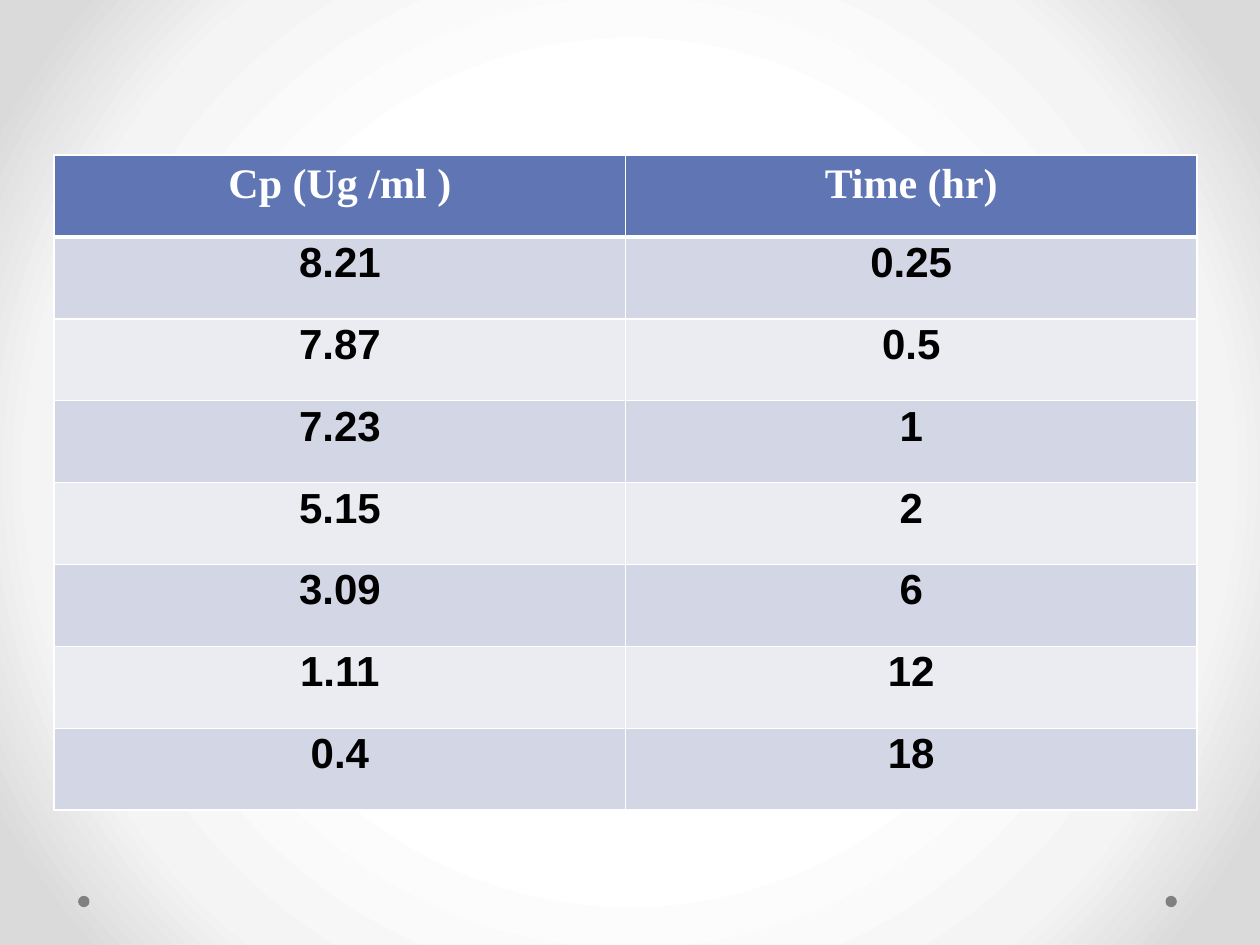
from lxml.etree import SubElement
from pptx import Presentation
from pptx.dml.color import RGBColor
from pptx.enum.shapes import MSO_SHAPE
from pptx.enum.text import PP_ALIGN
from pptx.oxml import parse_xml
from pptx.oxml.ns import nsdecls, qn
from pptx.util import Inches, Pt

# Content
ROWS = [
    ("Cp (Ug /ml )", "Time (hr)"),
    ("8.21", "0.25"),
    ("7.87", "0.5"),
    ("7.23", "1"),
    ("5.15", "2"),
    ("3.09", "6"),
    ("1.11", "12"),
    ("0.4", "18"),
]
STOPS = [(50, "FFFFFF"), (76, "F4F4F4"), (92, "DADADA")]
DOTS = [0.62, 9.25]

WHITE = RGBColor(0xFF, 0xFF, 0xFF)
BLACK = RGBColor(0, 0, 0)
GRAY = RGBColor(0x80, 0x80, 0x80)
BLUE = RGBColor(0x60, 0x76, 0xB4)
BANDS = [RGBColor(0xEA, 0xEC, 0xF2), RGBColor(0xD2, 0xD6, 0xE5)]


def set_back(slide):
    stops = "".join(
        f'<a:gs pos="{pos * 1000}"><a:srgbClr val="{tone}"/></a:gs>'
        for pos, tone in STOPS)
    back = parse_xml(
        f'<p:bg {nsdecls("p", "a")}><p:bgPr><a:gradFill rotWithShape="1">'
        f'<a:gsLst>{stops}</a:gsLst><a:path path="circle">'
        '<a:fillToRect l="50000" t="50000" r="50000" b="50000"/></a:path>'
        '</a:gradFill><a:effectLst/></p:bgPr></p:bg>')
    slide.element.cSld.insert(0, back)


def set_edges(cell, widths):
    props = cell._tc.get_or_add_tcPr()
    for i, (side, width) in enumerate(zip("LRTB", widths)):
        props.insert(i, parse_xml(
            f'<a:ln{side} {nsdecls("a")} w="{Pt(width)}"><a:solidFill>'
            f'<a:srgbClr val="{WHITE}"/></a:solidFill></a:ln{side}>'))


def fill_cell(cell, text, row):
    head = row == 0
    cell.fill.solid()
    cell.fill.fore_color.rgb = BLUE if head else BANDS[row % 2]
    cell.margin_top = Inches(0.05 if head else 0.02)
    set_edges(cell, (1, 1, 3 if row == 1 else 1, 3 if head else 1))
    para = cell.text_frame.paragraphs[0]
    para.alignment = PP_ALIGN.CENTER
    para._p.get_or_add_pPr().set("rtl", "1")
    run = para.add_run()
    run.text = text
    font = run.font
    font.name = "Times New Roman"
    font.size = Pt(24)
    font.bold = True
    font.color.rgb = WHITE if head else BLACK
    # Digits in right-to-left paragraphs use the complex-script font
    SubElement(run._r.get_or_add_rPr(), qn("a:cs"), typeface="Arial")


def main():
    deck = Presentation()
    deck.slide_width, deck.slide_height = Inches(10), Inches(7.5)
    slide = deck.slides.add_slide(deck.slide_layouts[6])
    set_back(slide)

    # Corner dots
    for left in DOTS:
        dot = slide.shapes.add_shape(
            MSO_SHAPE.OVAL, Inches(left), Inches(7.11), Inches(0.09), Inches(0.09))
        dot.shadow.inherit = False
        dot.fill.solid()
        dot.fill.fore_color.rgb = GRAY
        dot.line.fill.background()

    # Concentration table
    table = slide.shapes.add_table(
        len(ROWS), len(ROWS[0]), Inches(0.43), Inches(1.23),
        Inches(9.07), Inches(5.2)).table
    for r, row in enumerate(ROWS):
        for c, text in enumerate(row):
            fill_cell(table.cell(r, c), text, r)

    deck.save("out.pptx")


if __name__ == "__main__":
    main()
